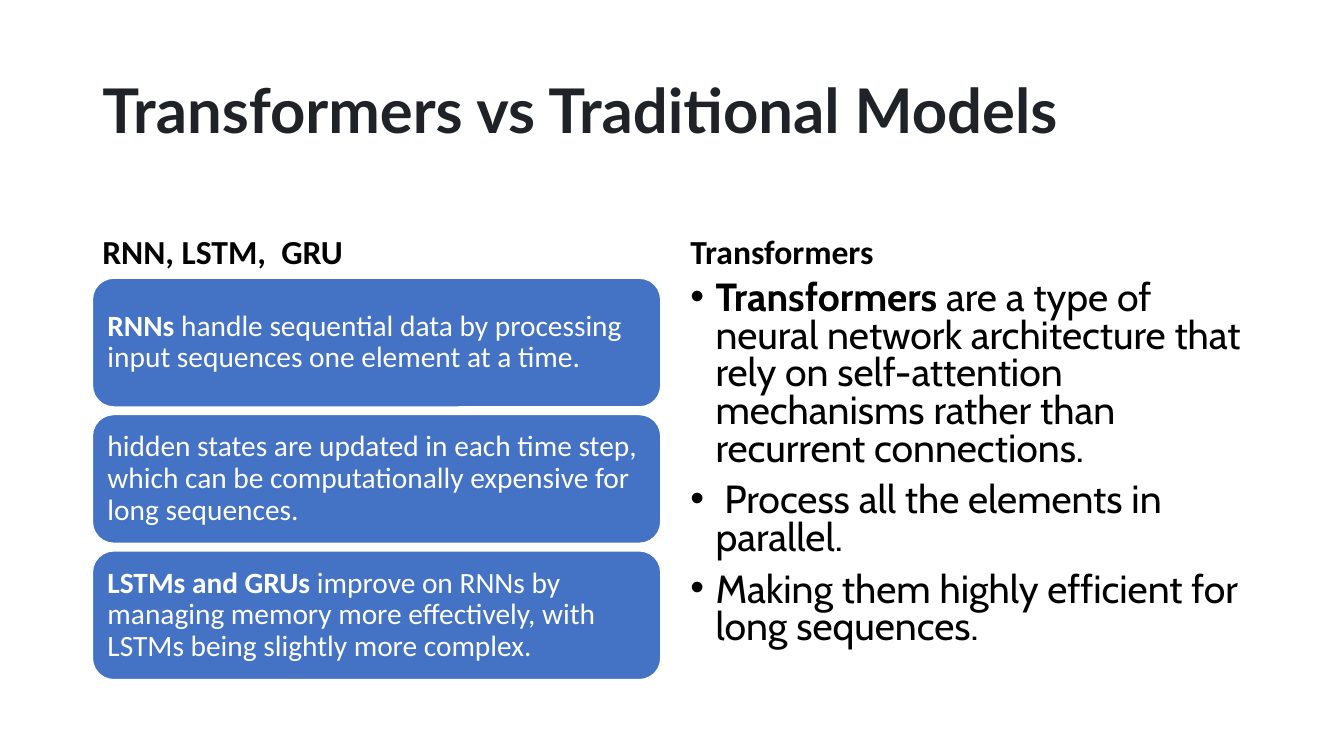
from dataclasses import dataclass

from lxml.etree import SubElement
from pptx import Presentation
from pptx.dml.color import RGBColor
from pptx.enum.shapes import MSO_SHAPE
from pptx.enum.text import MSO_ANCHOR as ANCHOR, PP_ALIGN as ALIGN
from pptx.oxml.ns import qn
from pptx.slide import Slide
from pptx.text.text import TextFrame, _Paragraph as Paragraph
from pptx.util import Pt

INK = RGBColor(0x1F, 0x23, 0x28)
BLACK = RGBColor(0, 0, 0)
WHITE = RGBColor(0xFF, 0xFF, 0xFF)
BLUE = RGBColor(0x44, 0x72, 0xC4)

# Shared geometry, in points
LEFT_X, LEFT_W = 66, 406
RIGHT_X, RIGHT_W = 486, 408
HEADING_Y, HEADING_H = 132.5, 65
CARD_Y, CARD_H, CARD_PITCH = 198.7, 92, 97.4
BODY_Y, BODY_H = 197.5, 290
INDENT = 18


@dataclass
class Statement:
    lead: str  # bold opening words
    rest: str


@dataclass
class Heading:
    text: str
    x: float
    width: float


HEADINGS = [
    Heading("RNN, LSTM,  GRU", LEFT_X, LEFT_W),
    Heading("Transformers", RIGHT_X, RIGHT_W),
]
CARDS = [
    Statement("RNNs", " handle sequential data by processing input sequences "
              "one element at a time."),
    Statement("", "hidden states are updated in each time step, which can be "
              "computationally expensive for long sequences."),
    Statement("LSTMs and GRUs", " improve on RNNs by managing memory more "
              "effectively, with LSTMs being slightly more complex."),
]
BULLETS = [
    Statement("Transformers", " are a type of neural network architecture that rely on "
              "self-attention mechanisms rather than recurrent connections."),
    Statement("", " Process all the elements in parallel."),
    Statement("", "Making them highly efficient for long sequences."),
]


def write(p: Paragraph, item: Statement, font: str, size: float,
          color: RGBColor, spacing: float) -> None:
    p.alignment = ALIGN.LEFT
    p.line_spacing = spacing
    for text, bold in ((item.lead, True), (item.rest, False)):
        if text:
            r = p.add_run()
            r.text = text
            r.font.name, r.font.size, r.font.bold = font, Pt(size), bold
            r.font.color.rgb = color


def add_bullet(p: Paragraph) -> None:
    pPr = p._p.get_or_add_pPr()
    pPr.set("marL", str(Pt(INDENT)))
    pPr.set("indent", str(-Pt(INDENT)))
    SubElement(pPr, qn("a:buFont"), typeface="Arial")
    SubElement(pPr, qn("a:buChar"), char="•")


def add_text_box(s: Slide, x: float, y: float, w: float, h: float) -> TextFrame:
    tf = s.shapes.add_textbox(Pt(x), Pt(y), Pt(w), Pt(h)).text_frame
    tf.word_wrap = True
    return tf


def add_heading(s: Slide, heading: Heading) -> None:
    tf = add_text_box(s, heading.x, HEADING_Y, heading.width, HEADING_H)
    tf.vertical_anchor = ANCHOR.BOTTOM
    write(tf.paragraphs[0], Statement(heading.text, ""), "Calibri", 24, BLACK, 0.9)


def add_card(s: Slide, y: float, item: Statement) -> None:
    sp = s.shapes.add_shape(MSO_SHAPE.ROUNDED_RECTANGLE,
                            Pt(LEFT_X), Pt(y), Pt(LEFT_W), Pt(CARD_H))
    sp.shadow.inherit = False
    sp.fill.solid()
    sp.fill.fore_color.rgb = BLUE
    sp.line.color.rgb = WHITE
    sp.line.width = Pt(1)
    tf = sp.text_frame
    tf.word_wrap = True
    tf.vertical_anchor = ANCHOR.MIDDLE
    tf.margin_left = tf.margin_right = tf.margin_top = tf.margin_bottom = Pt(6.3)
    write(tf.paragraphs[0], item, "Calibri", 21, WHITE, 0.9)


def add_bullets(s: Slide) -> None:
    tf = add_text_box(s, RIGHT_X, BODY_Y, RIGHT_W, BODY_H)
    for i, item in enumerate(BULLETS):
        p = tf.add_paragraph() if i else tf.paragraphs[0]
        add_bullet(p)
        write(p, item, "Cabin", 28, BLACK, 0.8)
        p.space_before = Pt(10 if i else 0)


def add_title(s: Slide) -> None:
    title = s.shapes.title
    title.left, title.top, title.width, title.height = Pt(66), Pt(29), Pt(828), Pt(104)
    tf = title.text_frame
    tf.vertical_anchor = ANCHOR.MIDDLE
    write(tf.paragraphs[0], Statement("Transformers vs Traditional Models", ""),
          "Lato", 44, INK, 0.9)


def main() -> None:
    prs = Presentation()
    prs.slide_width, prs.slide_height = Pt(960), Pt(540)
    s = prs.slides.add_slide(prs.slide_layouts[5])
    add_title(s)

    # Column headings
    for heading in HEADINGS:
        add_heading(s, heading)

    # Left column: cards; right column: bullets
    for i, item in enumerate(CARDS):
        add_card(s, CARD_Y + i * CARD_PITCH, item)
    add_bullets(s)

    prs.save("out.pptx")


if __name__ == "__main__":
    main()
